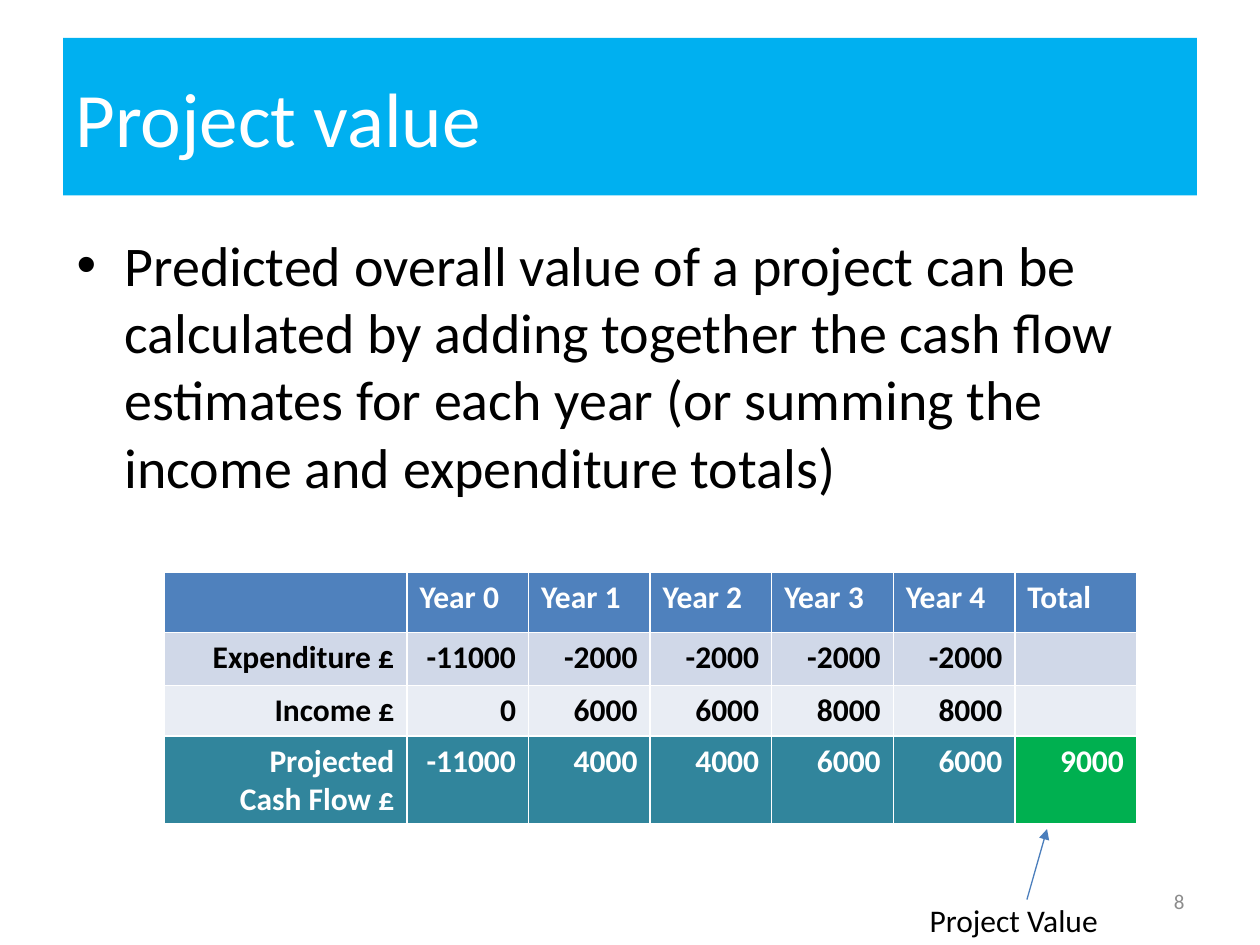
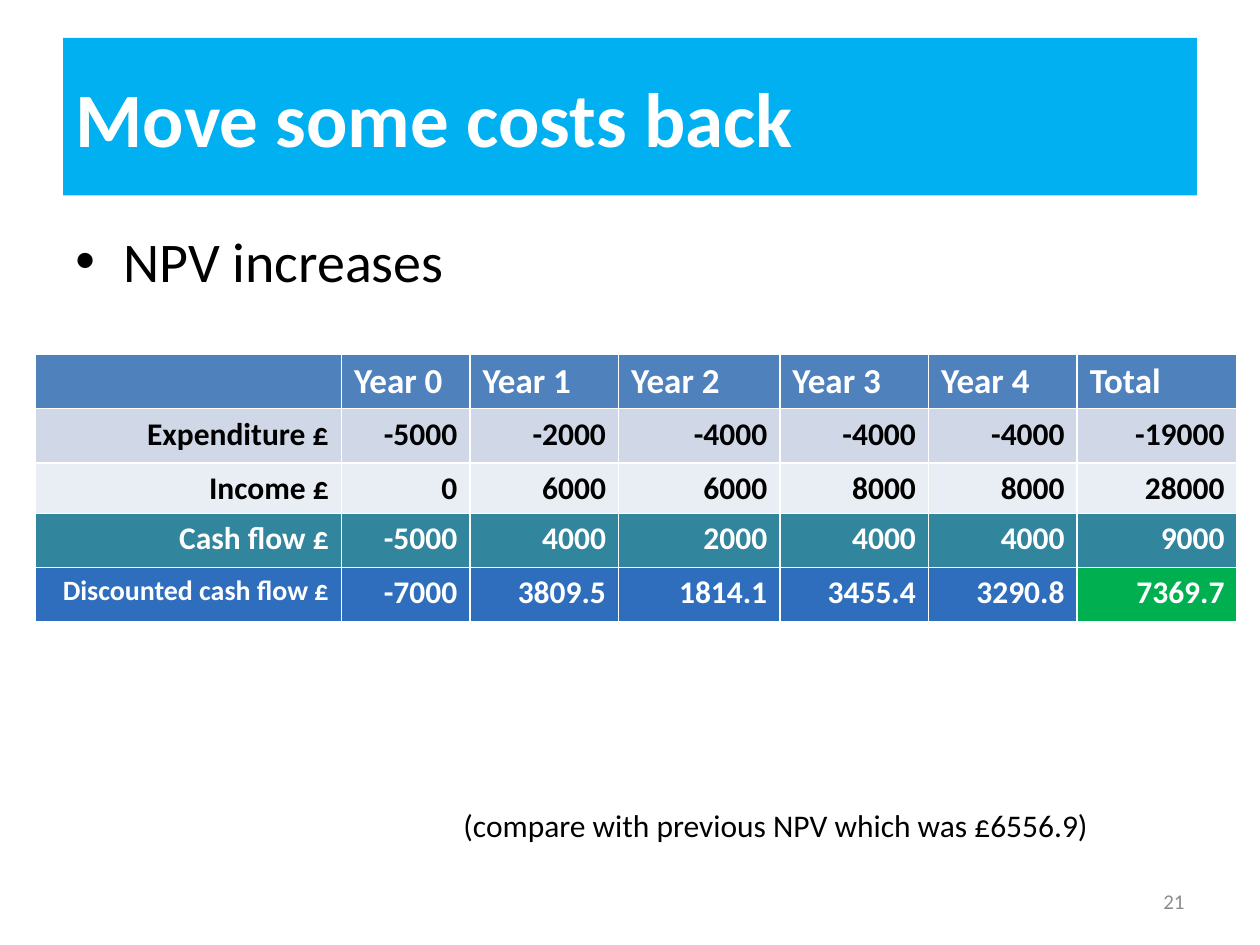
from lxml import etree
from pptx import Presentation, util as u
from pptx.dml.color import RGBColor
from pptx.enum import shapes, text
from pptx.oxml.ns import qn

FONT = "Calibri"
WHITE = RGBColor(0xFF, 0xFF, 0xFF)
BLACK = RGBColor(0x00, 0x00, 0x00)
GREY = RGBColor(0x8C, 0x8C, 0x8C)
BAND = RGBColor(0x00, 0xB0, 0xF0)
HEADER = RGBColor(0x4F, 0x81, 0xBD)
EXPENDITURE = RGBColor(0xD0, 0xD8, 0xE8)
INCOME = RGBColor(0xE9, 0xED, 0xF4)
CASH_FLOW = RGBColor(0x31, 0x85, 0x9C)
DISCOUNTED = RGBColor(0x2E, 0x6E, 0xBC)
RESULT = RGBColor(0x00, 0xB0, 0x50)
ARROW = RGBColor(0x4B, 0x7E, 0xBC)

WIDTH, HEIGHT = 10, 7.5
MARGIN = WIDTH * 0.05
CONTENT_WIDTH = WIDTH - 2 * MARGIN
BAND_BOX = (MARGIN, HEIGHT * 0.04, CONTENT_WIDTH, HEIGHT / 6)
BODY_HEIGHT = HEIGHT * 0.66
NUMBER_WIDTH = 2.33
NUMBER_BOX = (WIDTH - MARGIN - NUMBER_WIDTH, 6.95, NUMBER_WIDTH, 0.4)
NOTE_HEIGHT = 0.4
BULLET_INDENT = 0.38

YEARS = ["", *(f"Year {year}" for year in range(5)), "Total"]

SLIDES = [
    {
        "title": "Project value",
        "title_bold": False,
        "bullet": "Predicted overall value of a project can be calculated by adding "
                  "together the cash flow estimates for each year (or summing the "
                  "income and expenditure totals)",
        "bullet_at": (0.51, 1.78),
        "number": "8",
        "note": "Project Value",
        "note_at": (7.28, 7.1, 1.55),
        "arrow": ((8.15, 7.14), (8.31, 6.58)),
        "table_at": (1.3, 4.54),
        "columns": [1.93] + [0.965] * 6,
        "rows": [0.48, 0.42, 0.38, 0.61],
        "header_size": 18,
        "figures": [
            ("Expenditure £", 18, EXPENDITURE, BLACK, [-11000, -2000, -2000, -2000, -2000, ""]),
            ("Income £", 18, INCOME, BLACK, [0, 6000, 6000, 8000, 8000, ""]),
            ("Projected\nCash Flow £", 18, CASH_FLOW, WHITE,
             [-11000, 4000, 4000, 6000, 6000, 9000]),
        ],
    },
    {
        "title": "Move some costs back",
        "title_bold": True,
        "bullet": "NPV increases",
        "bullet_at": (0.5, 1.75),
        "number": "21",
        "note": "(compare with previous NPV which was £6556.9)",
        "note_at": (3.58, 6.35, 5.22),
        "arrow": None,
        "table_at": (0.28, 2.81),
        "columns": [2.43, 1.02, 1.18, 1.28, 1.18, 1.18, 1.27],
        "rows": [0.43, 0.43, 0.39, 0.43, 0.43],
        "header_size": 20,
        "figures": [
            ("Expenditure £", 18, EXPENDITURE, BLACK, [-5000, -2000, -4000, -4000, -4000, -19000]),
            ("Income £", 18, INCOME, BLACK, [0, 6000, 6000, 8000, 8000, 28000]),
            ("Cash flow £", 18, CASH_FLOW, WHITE, [-5000, 4000, 2000, 4000, 4000, 9000]),
            ("Discounted cash flow £", 16, DISCOUNTED, WHITE,
             [-7000, 3809.5, 1814.1, 3455.4, 3290.8, 7369.7]),
        ],
    },
]


def inches(values):
    return [u.Inches(value) for value in values]


def write(frame, words, size, colour, bold=False, align=text.PP_ALIGN.LEFT):
    frame.text = words
    for paragraph in frame.paragraphs:
        paragraph.alignment = align
        font = paragraph.font
        font.name, font.size, font.bold = FONT, u.Pt(size), bold
        font.color.rgb = colour


def add_title(slide, words, bold):
    title = slide.shapes.title
    title.left, title.top, title.width, title.height = inches(BAND_BOX)
    title.fill.solid()
    title.fill.fore_color.rgb = BAND
    write(title.text_frame, words, 44, WHITE, bold)
    title.text_frame.vertical_anchor = text.MSO_ANCHOR.MIDDLE


def add_words(slide, box, words, size, colour, align=text.PP_ALIGN.LEFT):
    frame = slide.shapes.add_textbox(*inches(box)).text_frame
    frame.word_wrap = True
    write(frame, words, size, colour, align=align)
    return frame


def add_bullet(slide, at, words):
    frame = add_words(slide, (*at, CONTENT_WIDTH, BODY_HEIGHT), words, 32, BLACK)
    paragraph = frame.paragraphs[0]
    paragraph.space_before = u.Pt(6.4)
    properties = paragraph._p.get_or_add_pPr()
    properties.set("marL", str(u.Inches(BULLET_INDENT)))
    properties.set("indent", str(-u.Inches(BULLET_INDENT)))
    bullet_font = etree.Element(qn("a:buFont"), typeface="Arial")
    bullet = etree.Element(qn("a:buChar"), char="•")
    properties.find(qn("a:spcBef")).addnext(bullet_font)
    bullet_font.addnext(bullet)


def add_number(slide, number):
    frame = add_words(slide, NUMBER_BOX, number, 12, GREY, text.PP_ALIGN.RIGHT)
    frame.vertical_anchor = text.MSO_ANCHOR.MIDDLE


def add_note(slide, place, words):
    frame = add_words(slide, (*place, NOTE_HEIGHT), words, 18, BLACK)
    frame.word_wrap = False
    frame.auto_size = text.MSO_AUTO_SIZE.SHAPE_TO_FIT_TEXT


def add_arrow(slide, start, end):
    arrow = slide.shapes.add_connector(
        shapes.MSO_CONNECTOR.STRAIGHT, *inches(start), *inches(end))
    arrow.line.color.rgb = ARROW
    arrow.line.width = u.Pt(0.75)
    etree.SubElement(arrow.line._get_or_add_ln(), qn("a:tailEnd"), type="triangle")
    etree.SubElement(arrow._element.spPr, qn("a:effectLst"))


def fill_cell(cell, words, size, fill, colour, align):
    cell.fill.solid()
    cell.fill.fore_color.rgb = fill
    write(cell.text_frame, str(words), size, colour, True, align)


def add_figures(slide, content):
    columns, rows = content["columns"], content["rows"]
    box = (*content["table_at"], sum(columns), sum(rows))
    table = slide.shapes.add_table(len(rows), len(columns), *inches(box)).table
    for column, width in zip(table.columns, columns):
        column.width = u.Inches(width)
    for row, height in zip(table.rows, rows):
        row.height = u.Inches(height)
    for cell, year in zip(table.rows[0].cells, YEARS):
        fill_cell(cell, year, content["header_size"], HEADER, WHITE, text.PP_ALIGN.LEFT)
    for r, (label, label_size, fill, colour, values) in enumerate(content["figures"], 1):
        for c, words in enumerate([label, *values]):
            size = 18 if c else label_size
            fill_cell(table.cell(r, c), words, size, fill, colour, text.PP_ALIGN.RIGHT)
    table.cell(len(rows) - 1, len(columns) - 1).fill.fore_color.rgb = RESULT


def main():
    deck = Presentation()
    deck.slide_width, deck.slide_height = inches((WIDTH, HEIGHT))
    title_only = deck.slide_layouts[5]
    for content in SLIDES:
        slide = deck.slides.add_slide(title_only)
        add_title(slide, content["title"], content["title_bold"])
        add_bullet(slide, content["bullet_at"], content["bullet"])
        add_number(slide, content["number"])
        add_figures(slide, content)
        if content["arrow"]:
            add_arrow(slide, *content["arrow"])
        add_note(slide, content["note_at"], content["note"])
    deck.save("out.pptx")


if __name__ == "__main__":
    main()
